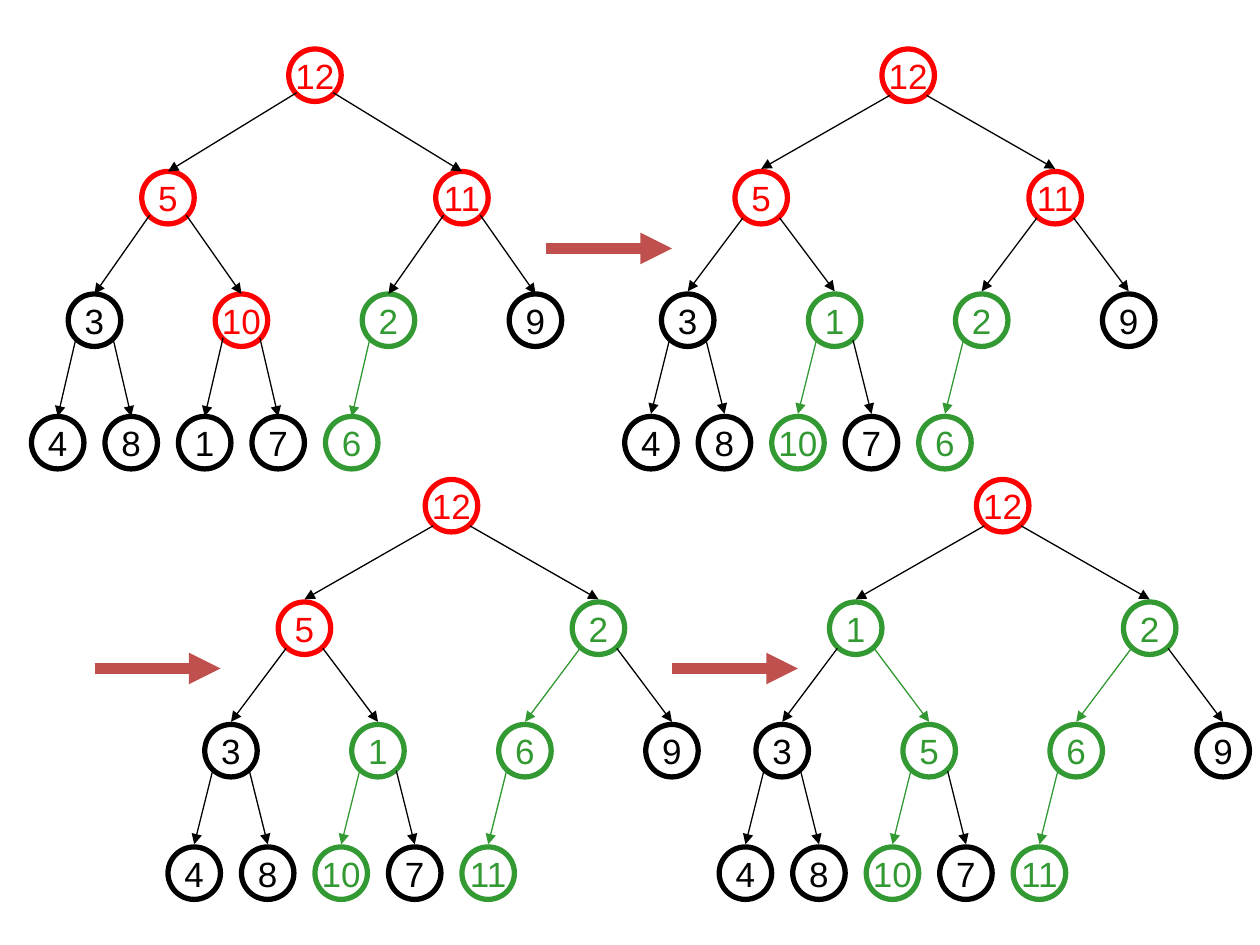
from dataclasses import dataclass

from lxml import etree
from pptx import Presentation
from pptx.dml.color import RGBColor
from pptx.enum.shapes import MSO_CONNECTOR, MSO_SHAPE
from pptx.enum.text import MSO_ANCHOR, PP_ALIGN
from pptx.oxml.ns import qn
from pptx.util import Pt

ELLIPSE = MSO_SHAPE.OVAL
STRAIGHT = MSO_CONNECTOR.STRAIGHT
CENTER = PP_ALIGN.CENTER
MIDDLE = MSO_ANCHOR.MIDDLE


@dataclass(frozen=True)
class Theme:
    font: str = "Arial"
    size: float = 20
    black: str = "000000"
    red: str = "FF0000"
    green: str = "339933"
    step: str = "C0504D"
    node_line: float = 3
    edge_line: float = 0.75
    step_line: float = 6


theme = Theme()
COLORS = {"k": theme.black, "r": theme.red, "g": theme.green}

DIAMETER = 30
LEVEL_GAP = 70
SPREAD = [84, 42, 21]  # horizontal distance to a child, by parent level
EDGE_DX, EDGE_DY = 10.5, 25  # where an edge leaves its parent

# Root centre x, root top, edge gap, heap values, node colours in heap order
TREES = [
    (180, 28, 0, [12, 5, 11, 3, 10, 2, 9, 4, 8, 1, 7, 6], "rrrkrgkkkkkg"),
    (519, 28, 1.5, [12, 5, 11, 3, 1, 2, 9, 4, 8, 10, 7, 6], "rrrkggkkkgkg"),
    (258, 274, 1.5, [12, 5, 2, 3, 1, 6, 9, 4, 8, 10, 7, 11], "rrgkggkkkgkg"),
    (573, 274, 1.5, [12, 1, 2, 3, 5, 6, 9, 4, 8, 10, 7, 11], "rggkggkkkgkg"),
]

# Left end x and y of the arrows between steps
STEPS = [(312, 142), (384, 382), (54, 382)]
STEP_LENGTH = 72


def add_arrow(shapes, start, end, color, width):
    sp = shapes.add_connector(STRAIGHT, *(Pt(v) for v in (*start, *end)))
    sp.line.color.rgb = RGBColor.from_string(color)
    sp.line.width = Pt(width)
    etree.SubElement(sp.line._get_or_add_ln(), qn("a:tailEnd"), type="triangle")
    etree.SubElement(sp._element.spPr, qn("a:effectLst"))


def add_node(shapes, x, y, value, color):
    sp = shapes.add_shape(ELLIPSE, Pt(x - DIAMETER / 2), Pt(y), Pt(DIAMETER), Pt(DIAMETER))
    sp.shadow.inherit = False
    sp.fill.background()
    sp.line.color.rgb = RGBColor.from_string(color)
    sp.line.width = Pt(theme.node_line)
    tf = sp.text_frame
    tf.word_wrap = False
    tf.vertical_anchor = MIDDLE
    p = tf.paragraphs[0]
    p.alignment = CENTER
    r = p.add_run()
    r.text = str(value)
    r.font.name = theme.font
    r.font.size = Pt(theme.size)
    r.font.color.rgb = RGBColor.from_string(color)


prs = Presentation()
prs.slide_width, prs.slide_height = Pt(720), Pt(540)
s = prs.slides.add_slide(prs.slide_layouts[6])

# Heap trees: nodes first, then the edges to their children
for root_x, root_y, gap, values, codes in TREES:
    shapes = s.shapes.add_group_shape().shapes
    centers = [(root_x, root_y)]
    for i in range(1, len(values)):
        px, py = centers[(i - 1) // 2]
        side = -1 if i % 2 else 1
        level = (i + 1).bit_length() - 1
        centers.append((px + side * SPREAD[level - 1], py + LEVEL_GAP))

    for (x, y), value, code in zip(centers, values, codes):
        add_node(shapes, x, y, value, COLORS[code])

    for i in range(1, len(values)):
        parent = (i - 1) // 2
        px, py = centers[parent]
        x, y = centers[i]
        side = -1 if i % 2 else 1
        settled = codes[parent] == codes[i] == "g"
        add_arrow(shapes, (px + side * EDGE_DX, py + EDGE_DY + gap), (x, y - gap),
                  theme.green if settled else theme.black, theme.edge_line)

# Arrows from one step to the next
for x, y in STEPS:
    add_arrow(s.shapes, (x, y), (x + STEP_LENGTH, y), theme.step, theme.step_line)

prs.save("out.pptx")
